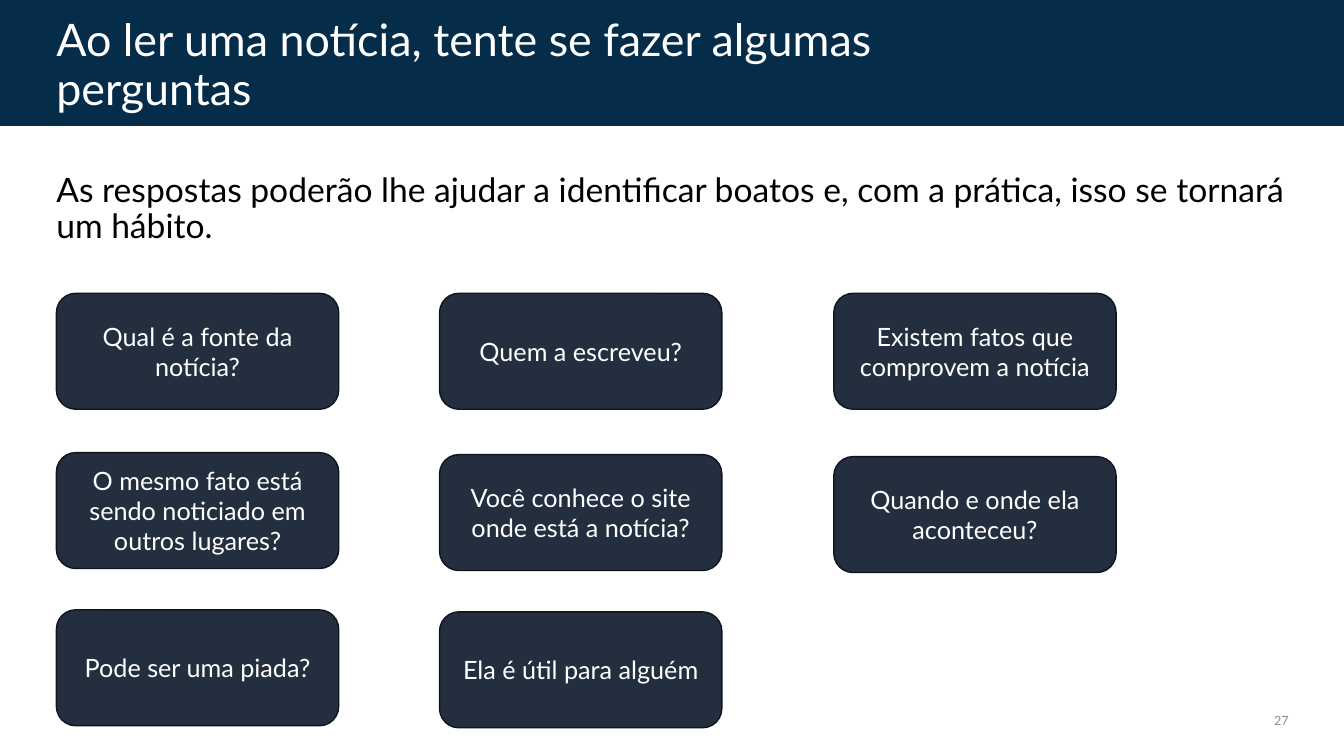
import dataclasses

import lxml.etree
import pptx
import pptx.dml.color
import pptx.enum.shapes
import pptx.enum.text
import pptx.oxml.ns
import pptx.util

Shapes = pptx.enum.shapes.MSO_SHAPE
Align = pptx.enum.text.PP_ALIGN
Anchor = pptx.enum.text.MSO_ANCHOR


@dataclasses.dataclass(frozen=True)
class Theme:
    font: str = "Lato"
    band: str = "002846"
    band_opacity: int = 98
    card: str = "232F3E"
    card_line: str = "0F151B"
    light: str = "FFFFFF"
    dark: str = "000000"
    muted: str = "8C8C8C"
    title_size: int = 32
    body_size: int = 24
    card_size: int = 18
    number_size: int = 9


class QuestionSlide:
    """Draws the slide's elements on a grid of columns and rows, in inches."""

    columns = (0.56, 4.36, 8.27)
    rows = (2.91, 4.49, 6.05)
    card_width, card_height = 2.8, 1.15
    column_drop = 0.02

    def __init__(self, deck, theme):
        self.theme = theme
        self.page = deck.slides.add_slide(deck.slide_layouts[6])

    def color(self, value):
        return pptx.dml.color.RGBColor.from_string(value)

    def shape(self, kind, area, fill):
        box = self.page.shapes.add_shape(kind, *map(pptx.util.Inches, area))
        box.shadow.inherit = False
        box.fill.solid()
        box.fill.fore_color.rgb = self.color(fill)
        return box

    def label(self, box, words, size, color, align=Align.LEFT, anchor=Anchor.MIDDLE, spacing=1.0):
        box.text_frame.word_wrap = True
        box.text_frame.vertical_anchor = anchor
        para = box.text_frame.paragraphs[0]
        para.alignment = align
        para.line_spacing = spacing
        span = para.add_run()
        span.text = words
        span.font.name = self.theme.font
        span.font.size = pptx.util.Pt(size)
        span.font.color.rgb = self.color(color)

    def text(self, area, words, size, color, **layout):
        box = self.page.shapes.add_textbox(*map(pptx.util.Inches, area))
        self.label(box, words, size, color, **layout)

    def band(self, area):
        box = self.shape(Shapes.RECTANGLE, area, self.theme.band)
        box.line.fill.background()
        tint = box.element.spPr.find(".//" + pptx.oxml.ns.qn("a:srgbClr"))
        alpha = lxml.etree.SubElement(tint, pptx.oxml.ns.qn("a:alpha"))
        alpha.set("val", str(self.theme.band_opacity * 1000))

    def card(self, column, row, words):
        top = self.rows[row] + (column * self.column_drop if row else 0)
        area = (self.columns[column], top, self.card_width, self.card_height)
        box = self.shape(Shapes.ROUNDED_RECTANGLE, area, self.theme.card)
        box.line.color.rgb = self.color(self.theme.card_line)
        box.line.width = pptx.util.Pt(1)
        self.label(box, words, self.theme.card_size, self.theme.light, align=Align.CENTER)


def main():
    deck = pptx.Presentation()
    width, height = 13.33, 7.5
    deck.slide_width = pptx.util.Inches(width)
    deck.slide_height = pptx.util.Inches(height)
    theme = Theme()
    slide = QuestionSlide(deck, theme)

    slide.band((0, 0, width, height / 6))
    slide.text((0.46, 0.4, 10.21, 0.52), "Ao ler uma notícia, tente se fazer algumas perguntas",
               theme.title_size, theme.light, spacing=0.9)
    slide.text((9.88, 6.95, 3, 0.4), "27", theme.number_size, theme.muted, align=Align.RIGHT)
    slide.text((0.46, 1.67, 12.42, 1),
               "As respostas poderão lhe ajudar a identificar boatos e, com a prática, "
               "isso se tornará um hábito.",
               theme.body_size, theme.dark, anchor=Anchor.TOP, spacing=0.9)

    questions = (
        "Qual é a fonte da notícia?",
        "Quem a escreveu?",
        "Existem fatos que comprovem a notícia",
        "O mesmo fato está sendo noticiado em outros lugares?",
        "Você conhece o site onde está a notícia?",
        "Quando e onde ela aconteceu?",
        "Pode ser uma piada?",
        "Ela é útil para alguém",
    )
    for index, question in enumerate(questions):
        row, column = divmod(index, len(slide.columns))
        slide.card(column, row, question)

    deck.save("out.pptx")


if __name__ == "__main__":
    main()
